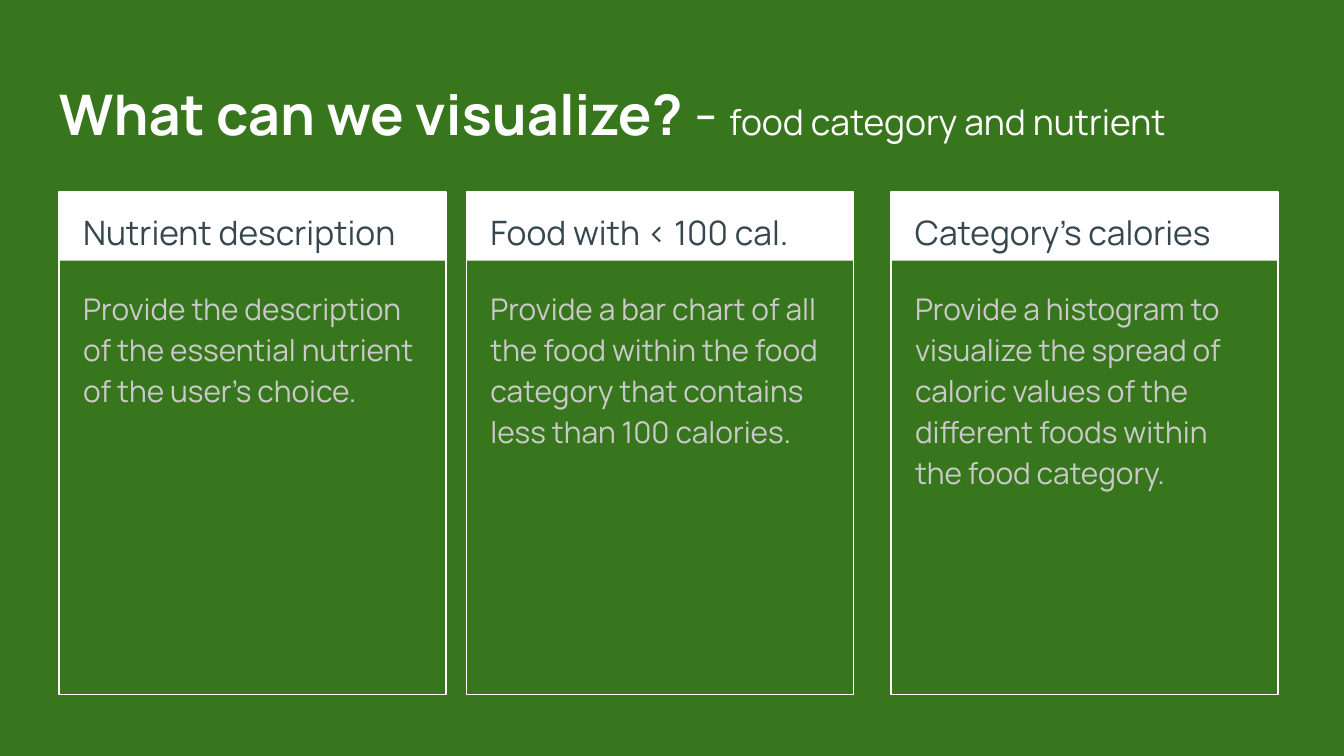
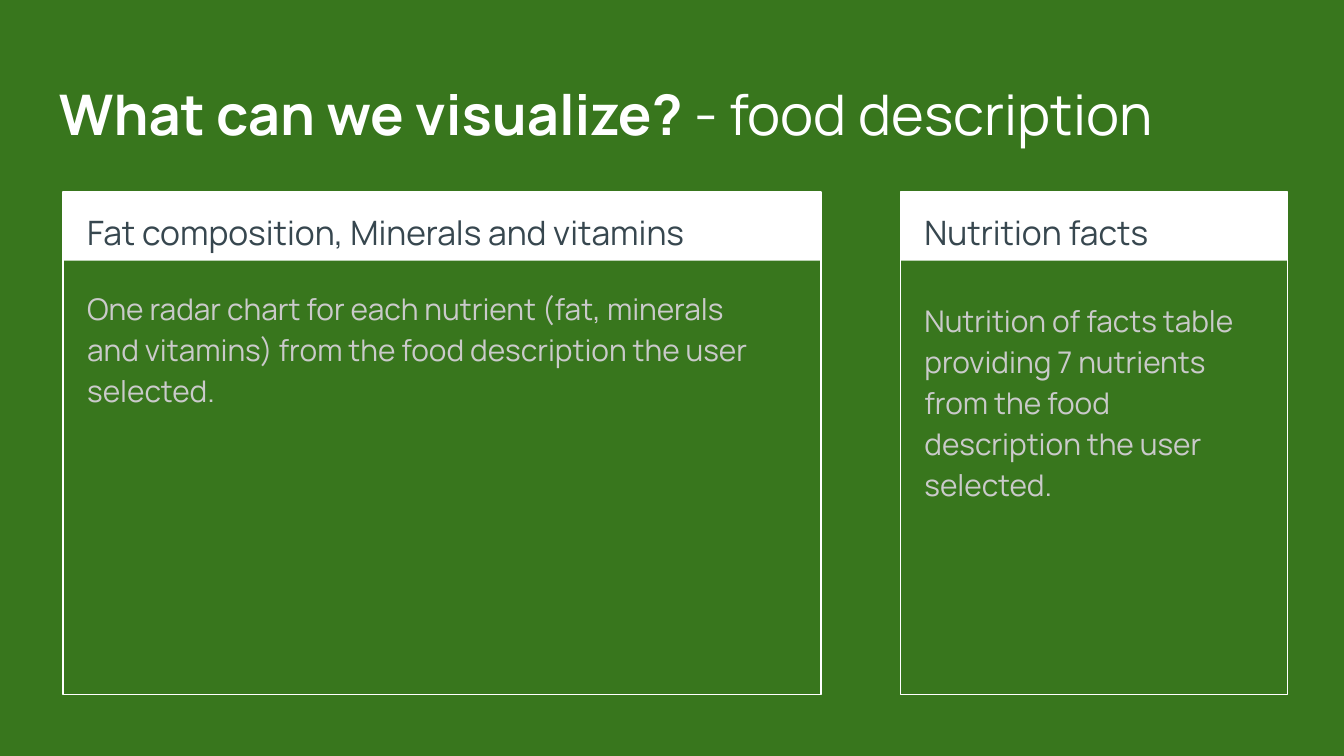
"""Build two slides that outline what the nutrition app can visualize."""
from dataclasses import dataclass

from pptx import Presentation
from pptx.dml.color import RGBColor
from pptx.enum.shapes import MSO_SHAPE
from pptx.enum.text import MSO_ANCHOR
from pptx.slide import Slide
from pptx.util import Inches, Pt


@dataclass(frozen=True)
class Theme:
    font: str = "Manrope"
    green: str = "38761D"
    white: str = "FFFFFF"
    slate: str = "37474F"
    silver: str = "CACACA"
    title_size: int = 30
    subtitle_size: int = 19
    heading_size: int = 18
    body_size: int = 16
    outline: float = 0.75


THEME = Theme()
CARD_TOP, CARD_HEIGHT, HEADER_HEIGHT = 1.43, 3.74, 0.51
TEXT_INDENT = 0.08


@dataclass(frozen=True)
class Run:
    text: str
    size: int
    color: str
    bold: bool = False


@dataclass(frozen=True)
class Card:
    heading: str
    body: str
    left: float
    width: float = 2.88
    heading_width: float = 2.73
    body_width: float = 2.71
    body_top: float = 2.02


@dataclass(frozen=True)
class Topic:
    subtitle: tuple[Run, ...]
    cards: tuple[Card, ...]


def title_run(text: str, size: int = THEME.title_size, bold: bool = False) -> Run:
    return Run(text, size, THEME.white, bold)


TOPICS = (
    Topic(
        (title_run(" - "), title_run("food category and nutrient", THEME.subtitle_size)),
        (
            Card("Food with < 100 cal.",
                 "Provide a bar chart of all the food within the food category "
                 "that contains less than 100 calories.",
                 3.47),
            Card("Category’s calories",
                 "Provide a histogram to visualize the spread of caloric values "
                 "of the different foods within the food category.",
                 6.63),
            Card("Nutrient description",
                 "Provide the description of the essential nutrient of the user’s choice.",
                 0.44),
        ),
    ),
    Topic(
        (title_run(" - food description"),),
        (
            Card("Fat composition, Minerals and vitamins",
                 "One radar chart for each nutrient (fat, minerals and vitamins) "
                 "from the food description the user selected.",
                 0.47, width=5.64, heading_width=5.37, body_width=5.21),
            Card("Nutrition facts",
                 "Nutrition of facts table providing 7 nutrients from the food "
                 "description the user selected.",
                 6.7, body_width=2.67, body_top=2.11),
        ),
    ),
)


def add_text(slide: Slide, left: float, top: float, width: float, height: float,
             runs: tuple[Run, ...], **spacing: object) -> None:
    frame = slide.shapes.add_textbox(
        Inches(left), Inches(top), Inches(width), Inches(height)).text_frame
    frame.word_wrap = True
    frame.vertical_anchor = MSO_ANCHOR.TOP
    for side in ("left", "top", "right", "bottom"):
        setattr(frame, f"margin_{side}", Inches(0.1))
    paragraph = frame.paragraphs[0]
    for name, value in spacing.items():
        setattr(paragraph, name, value)
    for run in runs:
        piece = paragraph.add_run()
        piece.text = run.text
        piece.font.color.rgb = RGBColor.from_string(run.color)
        formats = {"name": THEME.font, "size": Pt(run.size), "bold": run.bold}
        for name, value in formats.items():
            setattr(piece.font, name, value)


def add_card(slide: Slide, card: Card) -> None:
    white = RGBColor.from_string(THEME.white)
    panel = slide.shapes.add_group_shape()
    header, border = (
        panel.shapes.add_shape(MSO_SHAPE.RECTANGLE, Inches(card.left), Inches(CARD_TOP),
                               Inches(card.width), Inches(height))
        for height in (HEADER_HEIGHT, CARD_HEIGHT)
    )
    for part in (header, border):
        part.shadow.inherit = False
    header.fill.solid()
    header.fill.fore_color.rgb = white
    header.line.fill.background()
    border.fill.background()
    border.line.color.rgb = white
    border.line.width = Pt(THEME.outline)

    text_left = card.left + TEXT_INDENT
    add_text(slide, text_left, CARD_TOP, card.heading_width, 0.5,
             (Run(card.heading, THEME.heading_size, THEME.slate),), line_spacing=1.15)
    add_text(slide, text_left, card.body_top, card.body_width, 3.06,
             (Run(card.body, THEME.body_size, THEME.silver),),
             line_spacing=1.15, space_after=Pt(16))


def add_topic(deck: Presentation, topic: Topic) -> None:
    slide = deck.slides.add_slide(deck.slide_layouts[6])
    slide.background.fill.solid()
    slide.background.fill.fore_color.rgb = RGBColor.from_string(THEME.green)
    question = title_run("What can we visualize?", bold=True)
    add_text(slide, 0.34, 0.49, 9.32, 0.63, (question, *topic.subtitle))
    for card in topic.cards:
        add_card(slide, card)


def main() -> None:
    deck = Presentation()
    deck.slide_width = Inches(10)
    deck.slide_height = deck.slide_width * 9 // 16
    for topic in TOPICS:
        add_topic(deck, topic)
    deck.save("out.pptx")


if __name__ == "__main__":
    main()
